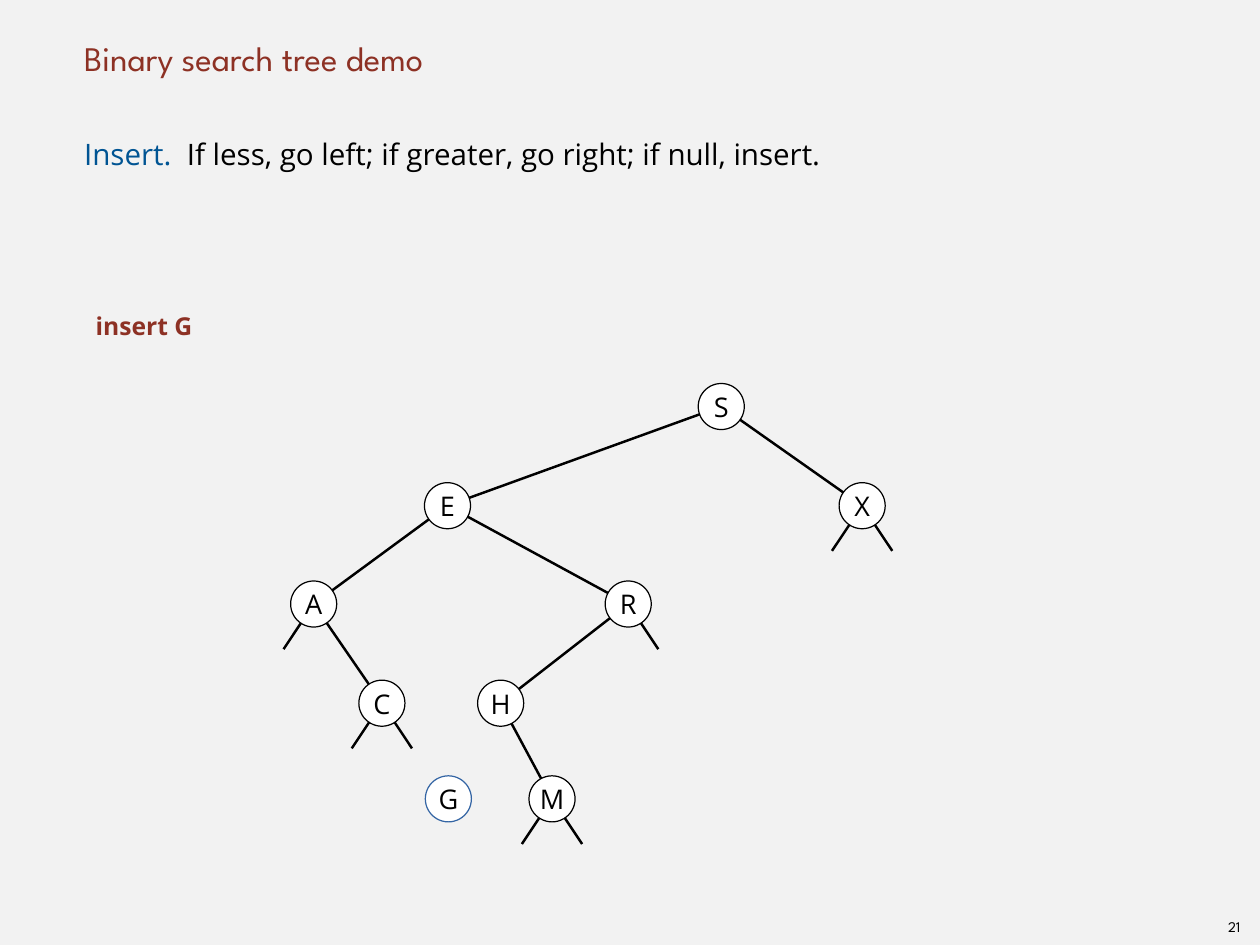
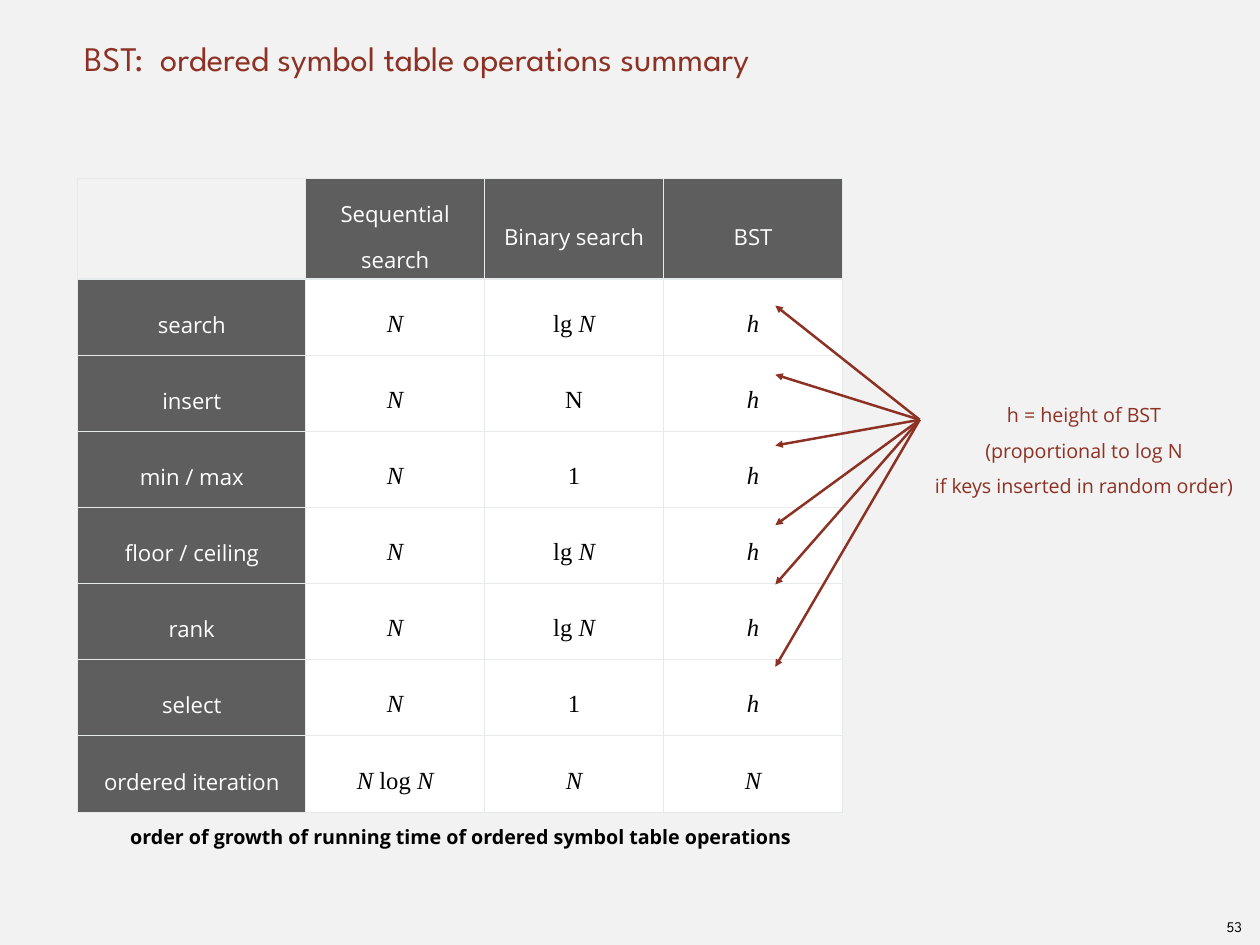
from lxml.etree import SubElement
from pptx import Presentation
from pptx.dml.color import RGBColor
from pptx.enum.shapes import MSO_CONNECTOR, MSO_SHAPE
from pptx.enum.text import MSO_ANCHOR, PP_ALIGN
from pptx.oxml import parse_xml
from pptx.oxml.ns import nsdecls, qn
from pptx.util import Inches, Pt

PAPER = RGBColor(0xF2, 0xF2, 0xF2)
WHITE = RGBColor(0xFF, 0xFF, 0xFF)
BLACK = RGBColor(0x00, 0x00, 0x00)
RED = RGBColor(0x8D, 0x31, 0x24)
BLUE = RGBColor(0x00, 0x54, 0x93)
NEW_NODE_BLUE = RGBColor(0x34, 0x65, 0xA4)
GRAY = RGBColor(0x5E, 0x5E, 0x5E)
RULE = RGBColor(0xE7, 0xEA, 0xEB)
TITLE_FONT, BODY_FONT, MATH_FONT = "League Spartan", "Open Sans", "Times New Roman"


def write(frame, pieces, size, color, font=BODY_FONT, align=PP_ALIGN.LEFT,
          bold=False, spacing=None):
    """Fill a frame with one run per piece; a newline starts a paragraph."""
    frame.word_wrap = True
    frame.margin_left = Inches(0.06 if align == PP_ALIGN.LEFT else 0)
    frame.margin_right = frame.margin_top = frame.margin_bottom = 0
    frame.text = pieces[0]
    for piece in pieces[1:]:
        frame.paragraphs[0].add_run().text = piece
    for paragraph in frame.paragraphs:
        paragraph.alignment = align
        paragraph.line_spacing = spacing
        for run in paragraph.runs:
            run.font.name = font
            run.font.size = Pt(size)
            run.font.bold = bold
            run.font.color.rgb = color
    return frame.paragraphs[0].runs


def add_line(slide, start, end, color):
    line = slide.shapes.add_connector(
        MSO_CONNECTOR.STRAIGHT, *[Inches(value) for value in (*start, *end)])
    line.line.color.rgb = color
    line.line.width = Pt(2)
    SubElement(line._element.spPr, qn("a:effectLst"))
    return line


prs = Presentation()
prs.slide_width, prs.slide_height = Inches(14.22), Inches(10.67)
prs.slide_master.background.fill.solid()
prs.slide_master.background.fill.fore_color.rgb = PAPER

for heading, number in (("Binary search tree demo", "21"),
                        ("BST:  ordered symbol table operations summary", "53")):
    slide = prs.slides.add_slide(prs.slide_layouts[5])
    title = slide.shapes.title
    title.left, title.top = Inches(0.89), Inches(0)
    title.width, title.height = Inches(12.44), Inches(0.89)
    write(title.text_frame, [heading], 28, RED, TITLE_FONT)
    title.text_frame.vertical_anchor = MSO_ANCHOR.BOTTOM
    page = slide.shapes.add_textbox(Inches(13.76), Inches(10.3), Inches(0.34), Inches(0.32))
    write(page.text_frame, [number], 12, BLACK, TITLE_FONT, PP_ALIGN.CENTER)
    page.text_frame.vertical_anchor = MSO_ANCHOR.MIDDLE

demo, summary = prs.slides

# Binary search tree demo
rule = demo.shapes.add_textbox(Inches(0.89), Inches(1.39), Inches(12.44), Inches(0.6))
runs = write(rule.text_frame,
             ["Insert.  ", "If less, go left; if greater, go right; if null, insert."],
             24, BLACK, spacing=Pt(39))
runs[0].font.color.rgb = BLUE
step = demo.shapes.add_textbox(Inches(1.02), Inches(3.51), Inches(1.6), Inches(0.43))
write(step.text_frame, ["insert G"], 20, RED, bold=True)

NODE_SIZE = 0.52
LEVELS = (4.59, 5.71, 6.82, 7.94, 9.02)
NODES = {"S": (8.14, 0), "E": (5.05, 1), "X": (9.73, 1), "A": (3.54, 2), "R": (7.09, 2),
         "C": (4.31, 3), "H": (5.65, 3), "M": (6.23, 4), "G": (5.06, 4)}
centers = {key: (x, LEVELS[level]) for key, (x, level) in NODES.items()}

for parent, child in ("SE", "SX", "EA", "ER", "AC", "RH", "HM"):
    add_line(demo, centers[parent], centers[child], BLACK)
NULL_LINKS = {"X": (-1, 1), "A": (-1,), "C": (-1, 1), "R": (1,), "M": (-1, 1)}
for key, sides in NULL_LINKS.items():
    x, y = centers[key]
    for side in sides:
        add_line(demo, (x, y), (x + side * 0.34, y + 0.51), BLACK)

for key, (x, y) in centers.items():
    node = demo.shapes.add_shape(
        MSO_SHAPE.OVAL, Inches(x - NODE_SIZE / 2), Inches(y - NODE_SIZE / 2),
        Inches(NODE_SIZE), Inches(NODE_SIZE))
    node.shadow.inherit = False
    node.fill.solid()
    node.fill.fore_color.rgb = WHITE
    node.line.color.rgb = NEW_NODE_BLUE if key == "G" else BLACK
    node.line.width = Pt(1)
    write(node.text_frame, [key], 22, BLACK, align=PP_ALIGN.CENTER)
    node.text_frame.vertical_anchor = MSO_ANCHOR.MIDDLE

# Operations summary; asterisks enclose the italic variables
VARIABLES = ("N", "h")
COSTS = (
    ("", "Sequential search", "Binary search", "BST"),
    ("search", "*N*", "lg *N*", "*h*"),
    ("insert", "*N*", "N", "*h*"),
    ("min / max", "*N*", "1", "*h*"),
    ("floor / ceiling", "*N*", "lg *N*", "*h*"),
    ("rank", "*N*", "lg *N*", "*h*"),
    ("select", "*N*", "1", "*h*"),
    ("ordered iteration", "*N* log *N*", "*N*", "*N*"),
)
costs = summary.shapes.add_table(
    len(COSTS), 4, Inches(0.88), Inches(2.02), Inches(8.63), Inches(7.15)).table
costs.first_row = costs.horz_banding = False
for column, width in zip(costs.columns, (2.57, 2.02, 2.02, 2.02)):
    column.width = Inches(width)
for r, values in enumerate(COSTS):
    costs.rows[r].height = Inches(0.86 if r else 1.13)
    for c, value in enumerate(values):
        cell = costs.cell(r, c)
        for side in ("lnL", "lnR", "lnT", "lnB"):
            cell._tc.get_or_add_tcPr().append(parse_xml(
                f'<a:{side} {nsdecls("a")} w="{Pt(1)}"><a:solidFill>'
                f'<a:srgbClr val="{RULE}"/></a:solidFill></a:{side}>'))
        if not value:
            cell.fill.background()
            continue
        is_header = r == 0 or c == 0
        cell.fill.solid()
        cell.fill.fore_color.rgb = GRAY if is_header else WHITE
        size, color, font = (18, WHITE, BODY_FONT) if is_header else (20, BLACK, MATH_FONT)
        pieces = [piece for piece in value.split("*") if piece]
        for run in write(cell.text_frame, pieces, size, color, font, PP_ALIGN.CENTER,
                         spacing=1.5):
            run.font.italic = "*" in value and run.text in VARIABLES
        cell.margin_left = cell.margin_right = Inches(0.06)
        cell.margin_top = cell.margin_bottom = Inches(0.06)
        cell.vertical_anchor = MSO_ANCHOR.MIDDLE

height_note = summary.shapes.add_textbox(Inches(10.32), Inches(4.42), Inches(3.83), Inches(1.11))
write(height_note.text_frame,
      ["h = height of BST\n(proportional to log N\nif keys inserted in random order)"],
      16, RED, align=PP_ALIGN.CENTER, spacing=1.5)
caption = summary.shapes.add_textbox(Inches(0.89), Inches(9.18), Inches(8.62), Inches(0.36))
write(caption.text_frame, ["order of growth of running time of ordered symbol table operations"],
      16, BLACK, align=PP_ALIGN.CENTER, bold=True, spacing=1.5)

for target_y in (3.45, 4.23, 5.03, 5.93, 6.6, 7.53):
    arrow = add_line(summary, (8.75, target_y), (10.38, 4.74), RED)
    SubElement(arrow.line._get_or_add_ln(), qn("a:headEnd"), type="triangle")

prs.save("out.pptx")
